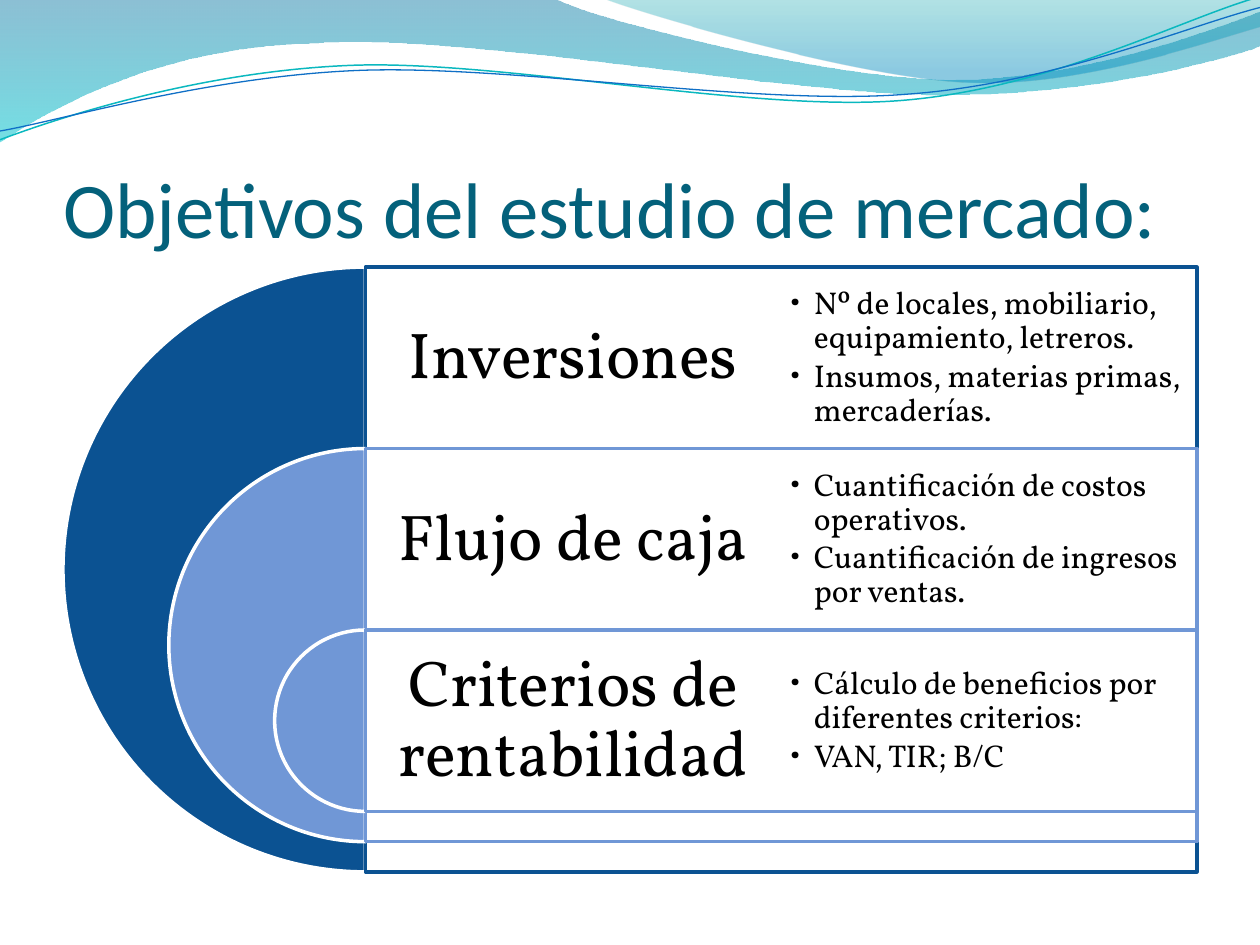
"""Build a slide on the aims of a market study, with nested half discs."""
from dataclasses import dataclass
from math import cos, radians, sin
from lxml import etree
from pptx import Presentation, util as u
from pptx.dml.color import RGBColor as RGB
from pptx.enum import shapes, text
from pptx.oxml.ns import qn

Inches, Pt = u.Inches, u.Pt


@dataclass
class Theme:
    head: str = "Calibri"
    body: str = "Vollkorn"
    title: str = "04617B"
    ink: str = "000000"
    white: str = "FFFFFF"
    dark: str = "0B5292"
    light: str = "7097D6"
    sea: str = "0074A1"
    teal: str = "00C6CF"
    mint: str = "00A1A9"
    sky: str = "008BBF"
    aqua: str = "0AB8BF"
    blue: str = "0F6FC6"
    big: int = 45
    label: int = 37
    small: int = 18


theme = Theme()


def fade(fill, shares):
    for clr, share in zip(fill._xPr.iter(qn("a:srgbClr")), shares):
        etree.SubElement(clr, qn("a:alpha"), val=str(share * 1000))


def write(frame, lines, font, size, color, align, pad, bullet=False):
    frame.word_wrap = True
    frame.auto_size = text.MSO_AUTO_SIZE.NONE
    frame.vertical_anchor = text.MSO_ANCHOR.MIDDLE
    frame.margin_left = frame.margin_right = Inches(pad)
    frame.margin_top = frame.margin_bottom = Inches(pad)
    for i, line in enumerate(lines):
        para = frame.add_paragraph() if i else frame.paragraphs[0]
        para.text = line
        para.alignment = align
        if bullet:
            para.level = 1
            prop = para._p.get_or_add_pPr()
            prop.set("marL", str(Inches(0.19)))
            prop.set("indent", str(-Inches(0.19)))
            etree.SubElement(prop, qn("a:buFont"), typeface=font)
            etree.SubElement(prop, qn("a:buChar"), char="•")
            para.space_after = Pt(2.5)
        para.line_spacing = 0.9
        para.font.name, para.font.size = font, Pt(size)
        para.font.color.rgb = RGB.from_string(color)


deck = Presentation()
deck.slide_width, deck.slide_height = Inches(10), Inches(7.5)
slide = deck.slides.add_slide(deck.slide_layouts[5])
parts = slide.shapes

waves = [
    ((0, 0),
     [(4.4, -0.01), (4.76, 0.17, 6.64, 0.63, 7.58, 0.63),
      (8.53, 0.63, 9.58, 0.26, 10, 0.09), (10.01, 0.36),
      (9.83, 0.44, 8.7, 0.76, 7.46, 0.75),
      (6.22, 0.75, 3.82, 0.28, 2.57, 0.34),
      (1.29, 0.36, 0.46, 0.83, -0.01, 1.13), (0, 0)],
     [(0, theme.sea, 45), (1, theme.teal, 55)], None),
    ((4.79, -0.01),
     [(5.09, 0.11, 6.82, 0.62, 7.69, 0.65),
      (8.56, 0.69, 9.61, 0.32, 10, 0.21), (10, 0), (4.79, -0.01)],
     [(0, theme.mint, 30), (0.8, theme.sky, 45)], None),
    ((0, 1.11),
     [(0.48, 0.93, 1.58, 0.57, 2.77, 0.52),
      (3.95, 0.47, 5.93, 0.89, 7.13, 0.8),
      (8.33, 0.71, 9.38, 0.15, 9.98, -0.02)],
     None, (theme.aqua, 0.85, 0.57)),
    ((0, 1.04),
     [(0.47, 0.96, 1.64, 0.61, 2.83, 0.56),
      (4.03, 0.51, 5.97, 0.84, 7.17, 0.75),
      (8.36, 0.67, 9.41, 0.21, 10, 0.06)],
     None, (theme.blue, 0.75, 0.59)),
]
tilt = 2.7
for start, steps, stops, edge in waves:
    dots = [start] + [s[n:n + 2] for s in steps for n in range(0, len(s), 2)]
    if edge:
        c, s, cy = cos(radians(tilt)), sin(radians(tilt)), edge[2]
        dots = [(5 + (x - 5) * c - (y - cy) * s, cy + (x - 5) * s + (y - cy) * c)
                for x, y in dots]
    dots = [(Inches(x), Inches(y)) for x, y in dots]
    pen = parts.build_freeform(*dots[0])
    pen.add_line_segments(dots[1:], close=bool(stops))
    wave = pen.convert_to_shape()
    wave.shadow.inherit = False
    legs = iter(list(wave._element.iter(qn("a:lnTo"))))
    for step in steps:
        leg = next(legs)
        if len(step) == 6:
            leg.addprevious(curve := etree.Element(qn("a:cubicBezTo")))
            for part in (leg, next(legs), next(legs)):
                curve.append(part[0])
                part.getparent().remove(part)
    if stops:
        wave.fill.gradient()
        wave.fill.gradient_angle = 270
        for stop, (spot, color, _) in zip(wave.fill.gradient_stops, stops):
            stop.position = spot
            stop.color.rgb = RGB.from_string(color)
        fade(wave.fill, [s[2] for s in stops])
        wave.line.fill.background()
    else:
        wave.rotation = -tilt
        wave.fill.background()
        wave.line.color.rgb = RGB.from_string(edge[0])
        wave.line.width = Pt(edge[1])

title = parts.title
parts._spTree.append(title._element)
title.left, title.top = Inches(0.5), Inches(0.77)
title.width, title.height = Inches(9), Inches(1.25)
write(title.text_frame, ["Objetivos del estudio de mercado:"], theme.head,
      theme.big, theme.title, text.PP_ALIGN.LEFT, 0)
title.text_frame.paragraphs[0].line_spacing = 1.0
title.text_frame.vertical_anchor = text.MSO_ANCHOR.BOTTOM
title.text_frame.margin_top = Inches(0.05)

rows = [
    ("Inversiones", theme.dark,
     ["Nº de locales, mobiliario, equipamiento, letreros.",
      "Insumos, materias primas, mercaderías."]),
    ("Flujo de caja", theme.light,
     ["Cuantificación de costos operativos.",
      "Cuantificación de ingresos por ventas."]),
    ("Criterios de rentabilidad", theme.light,
     ["Cálculo de beneficios por diferentes criterios:",
      "VAN, TIR; B/C"]),
]
mid, top, step, half = 2.9, 2.12, 1.44, 3.3
for i, (label, color, points) in enumerate(rows):
    y, size = top + step * i, 4.8 - 1.68 * i
    disc = parts.add_shape(shapes.MSO_SHAPE.PIE, Inches(mid - size / 2),
                           Inches(y), Inches(size), Inches(size))
    disc.adjustments[0], disc.adjustments[1] = 54, 162
    panel = parts.add_shape(shapes.MSO_SHAPE.RECTANGLE, Inches(mid),
                            Inches(y), Inches(2 * half), Inches(size))
    for shape, fill, line in ((disc, color, theme.white),
                              (panel, theme.white, color)):
        shape.shadow.inherit = False
        shape.fill.solid()
        shape.fill.fore_color.rgb = RGB.from_string(fill)
        if shape is panel:
            fade(shape.fill, [90])
        shape.line.color.rgb = RGB.from_string(line)
        shape.line.width = Pt(2)
    name = parts.add_textbox(Inches(mid), Inches(y), Inches(half), Inches(step))
    write(name.text_frame, [label], theme.body, theme.label, theme.ink,
          text.PP_ALIGN.CENTER, 0.15)

for i, (label, color, points) in enumerate(rows):
    note = parts.add_textbox(Inches(mid + half), Inches(top + step * i),
                             Inches(half), Inches(step))
    write(note.text_frame, points, theme.body, theme.small, theme.ink,
          text.PP_ALIGN.LEFT, 0.07, bullet=True)

deck.save("out.pptx")
